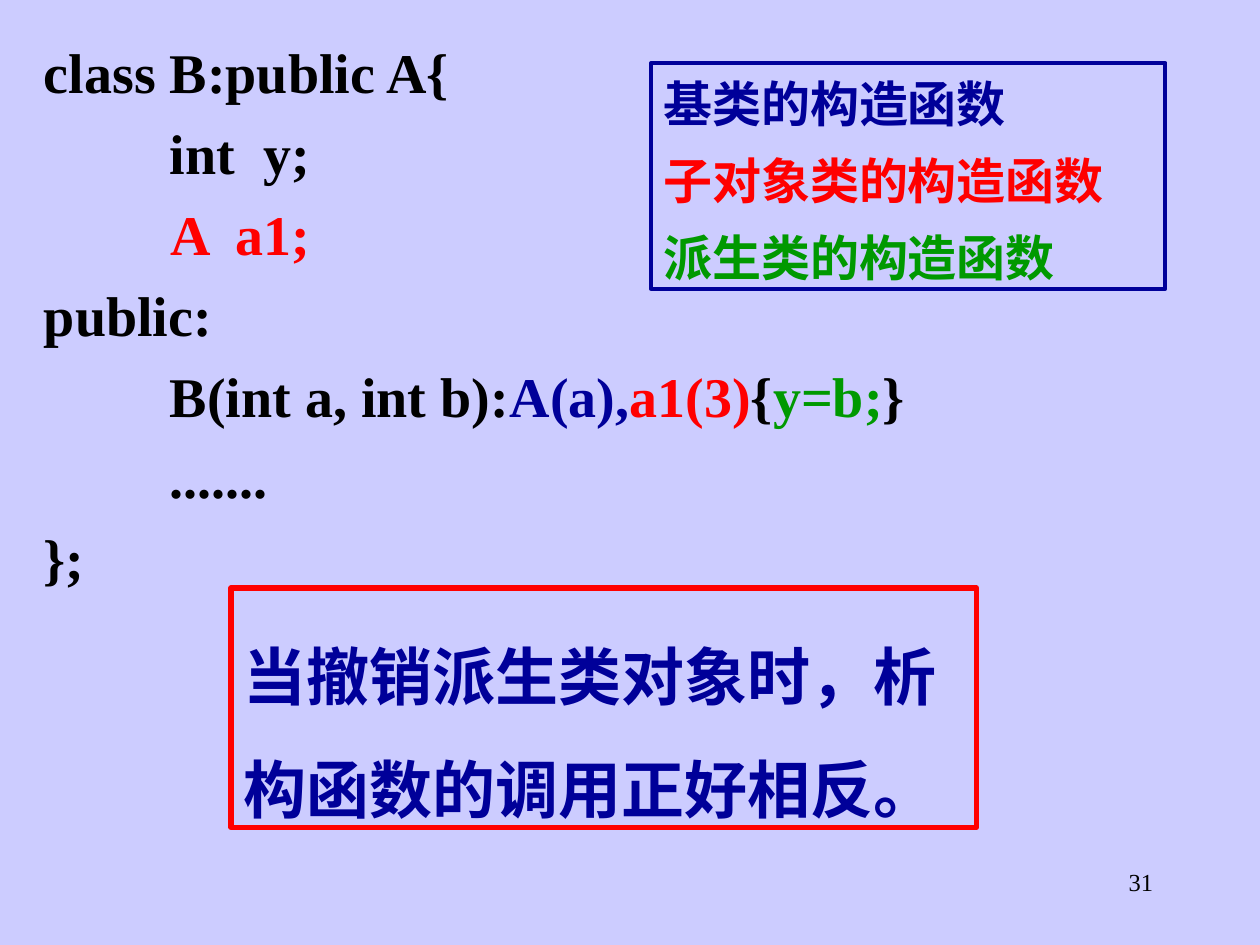
from pptx import Presentation
from pptx.dml.color import RGBColor
from pptx.enum.shapes import MSO_SHAPE
from pptx.enum.text import MSO_ANCHOR, PP_ALIGN
from pptx.util import Pt

RECT = MSO_SHAPE.RECTANGLE
TOP = MSO_ANCHOR.TOP
LEFT, RIGHT = PP_ALIGN.LEFT, PP_ALIGN.RIGHT
FONT = "Times New Roman"
COLORS = {"bg": "CCCCFF", "black": "000000", "red": "FF0000",
          "blue": "000099", "green": "009900"}
INDENT = " " * 9

CODE = [
    [("class B:public A{", "black")],
    [(INDENT + "int  y;", "black")],
    [(INDENT, "black"), ("A  a1;", "red")],
    [("public:", "black")],
    [(INDENT + "B(int a, int b):", "black"), ("A(a),", "blue"),
     ("a1(3)", "red"), ("{", "black"), ("y=b;", "green"), ("}", "black")],
    [(INDENT + ".......", "black")],
    [("};", "black")],
]
ORDER = [
    [("基类的构造函数", "blue")],
    [("子对象类的构造函数", "red")],
    [("派生类的构造函数", "green")],
]
NOTE = [[("当撤销派生类对象时，析构函数的调用正好相反。", "blue")]]


def rgb(name):
    return RGBColor.from_string(COLORS[name])


def write(sp, lines, size, bold=True, align=LEFT, pitch=None, before=0, top=3.6):
    """Fill a shape with lines, each a list of (text, colour) runs."""
    tf = sp.text_frame
    tf.word_wrap = True
    tf.vertical_anchor = TOP
    tf.margin_left = tf.margin_right = Pt(7.2)
    tf.margin_top, tf.margin_bottom = Pt(top), Pt(3.6)
    for i, runs in enumerate(lines):
        p = tf.add_paragraph() if i else tf.paragraphs[0]
        p.alignment = align
        p.space_before = Pt(before if i else 0)
        if pitch:
            p.line_spacing = Pt(pitch)
        for text, color in runs:
            r = p.add_run()
            r.text = text
            r.font.name, r.font.size, r.font.bold = FONT, Pt(size), bold
            r.font.color.rgb = rgb(color)


def add_text(s, box, lines, size, **fmt):
    sp = s.shapes.add_textbox(*map(Pt, box))
    write(sp, lines, size, **fmt)


def add_frame(s, box, lines, size, color, weight, **fmt):
    sp = s.shapes.add_shape(RECT, *map(Pt, box))
    sp.shadow.inherit = False
    sp.fill.background()
    sp.line.color.rgb = rgb(color)
    sp.line.width = Pt(weight)
    write(sp, lines, size, **fmt)


def main():
    prs = Presentation()
    prs.slide_width, prs.slide_height = Pt(720), Pt(540)
    s = prs.slides.add_slide(prs.slide_layouts[6])
    s.background.fill.solid()
    s.background.fill.fore_color.rgb = rgb("bg")

    # Page number
    add_text(s, (516, 492, 150, 36), [[("31", "black")]], 14,
             bold=False, align=RIGHT)
    # Class definition
    add_text(s, (18, 18, 552, 324), CODE, 32, pitch=38.3, before=8)
    # Destructor note
    add_frame(s, (132, 336, 426, 136.8), NOTE, 36, "red", 3,
              pitch=64.6, top=6.7)
    # Constructor order
    add_frame(s, (372, 36, 294, 129), ORDER, 28, "blue", 2.25,
              pitch=33.5, before=10.5, top=6)

    prs.save("out.pptx")


if __name__ == "__main__":
    main()
